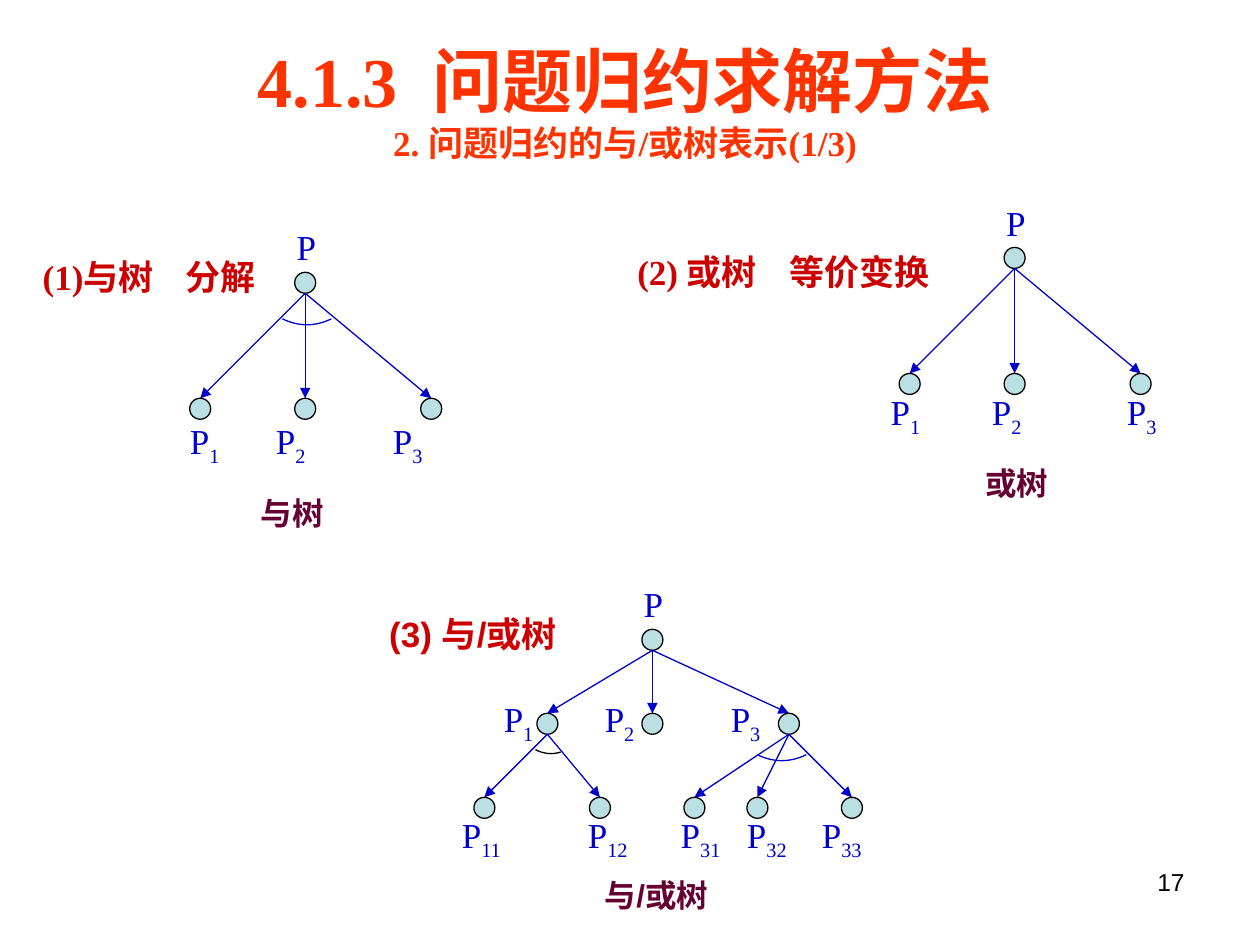
from lxml.etree import SubElement
from pptx import Presentation
from pptx.dml.color import RGBColor
from pptx.enum.shapes import MSO_CONNECTOR, MSO_SHAPE
from pptx.enum.text import PP_ALIGN
from pptx.oxml.ns import qn
from pptx.util import Pt

BLUE = RGBColor(0x00, 0x00, 0xCC)
BLACK = RGBColor(0x00, 0x00, 0x00)
NODE_FILL = RGBColor(0xBB, 0xE0, 0xE3)
RED = RGBColor(0xCC, 0x00, 0x00)
ORANGE = RGBColor(0xFF, 0x33, 0x00)
PLUM = RGBColor(0x66, 0x00, 0x33)
SERIF = "Times New Roman"
SANS = "Arial"
RADIUS = 6
INSET = 7.2
LINE_WIDTH = 0.75


def add_box(shapes, left, top, width, height):
    box = shapes.add_textbox(Pt(left), Pt(top), Pt(width), Pt(height))
    box.text_frame.word_wrap = True
    return box


def add_span(para, text, size, color, font=SERIF, bold=False):
    span = para.add_run()
    span.text = text
    span.font.size = Pt(size)
    span.font.name = font
    span.font.bold = bold
    span.font.color.rgb = color
    return span


def add_tabs(para, positions):
    tab_list = SubElement(para._p.get_or_add_pPr(), qn("a:tabLst"))
    for position in positions:
        SubElement(tab_list, qn("a:tab"), pos=str(Pt(position)), algn="l")


def add_text(shapes, place, text, size, color, font=SERIF, bold=False,
             align=PP_ALIGN.LEFT, tabs=()):
    para = add_box(shapes, *place).text_frame.paragraphs[0]
    if tabs:
        add_tabs(para, tabs)
    para.alignment = align
    add_span(para, text, size, color, font, bold)


def add_label_row(shapes, top, width, labels, spacing=None):
    """Write P with a subscript at each x; labels are (x, subscript) pairs."""
    start = labels[0][0]
    box = add_box(shapes, start - INSET, top, width, 34.5)
    para = box.text_frame.paragraphs[0]
    add_tabs(para, [x - start for x, _ in labels[1:]])
    if spacing:
        para.line_spacing = spacing
    for index, (_, subscript) in enumerate(labels):
        add_span(para, "\tP" if index else "P", 20, BLUE)
        low = add_span(para, subscript, 20, BLUE)
        low.font._element.set("baseline", "-25000")


def add_node(shapes, x, y):
    node = shapes.add_shape(MSO_SHAPE.OVAL, Pt(x - RADIUS), Pt(y - RADIUS),
                            Pt(2 * RADIUS), Pt(2 * RADIUS))
    node.shadow.inherit = False
    node.fill.solid()
    node.fill.fore_color.rgb = NODE_FILL
    node.line.color.rgb = BLACK
    node.line.width = Pt(LINE_WIDTH)


def add_arrow(shapes, x1, y1, x2, y2):
    arrow = shapes.add_connector(MSO_CONNECTOR.STRAIGHT,
                                 Pt(x1), Pt(y1), Pt(x2), Pt(y2))
    arrow.line.color.rgb = BLUE
    arrow.line.width = Pt(LINE_WIDTH)
    SubElement(arrow.line._get_or_add_ln(), qn("a:tailEnd"), type="triangle")
    SubElement(arrow._element.spPr, qn("a:effectLst"))


def add_branches(shapes, x, y, offsets, drop):
    """Draw the children of the node at x, y with an arrow to each."""
    for offset in offsets:
        add_arrow(shapes, x, y + RADIUS, x + offset, y + drop - RADIUS)
        add_node(shapes, x + offset, y + drop)


def add_root(shapes, x, y):
    add_text(shapes, (x - 12, y - 36, 30, 31.7), "P", 20, BLUE)
    add_node(shapes, x, y)


def add_arc(shapes, x, y, width, depth, color=BLUE, fall=0):
    """Draw a shallow parabola that marks an AND branch."""
    steps = 16
    points = []
    for step in range(steps + 1):
        t = step / steps
        points.append((Pt(x + width * t),
                       Pt(y + fall * t + 4 * depth * t * (1 - t))))
    builder = shapes.build_freeform(*points[0], scale=1.0)
    builder.add_line_segments(points[1:], close=False)
    arc = builder.convert_to_shape()
    arc.shadow.inherit = False
    arc.fill.background()
    arc.line.color.rgb = color
    arc.line.width = Pt(LINE_WIDTH)


def add_title(page):
    frame = add_box(page.shapes, 31, 18, 652.3, 79.2).text_frame
    para = frame.paragraphs[0]
    para.alignment = PP_ALIGN.CENTER
    add_span(para, "4.1.3", 40, ORANGE, bold=True)
    gap = add_span(para, " ", 40, ORANGE, bold=True)
    gap.font._element.set("spc", "1000")
    add_span(para, "问题归约求解方法", 40, ORANGE, bold=True)
    para = frame.add_paragraph()
    para.alignment = PP_ALIGN.CENTER
    add_span(para, "2. 问题归约的与/或树表示(1/3)", 20, ORANGE, bold=True)


def add_and_tree(page):
    shapes = page.shapes.add_group_shape().shapes
    x, y = 174.4, 161.6
    add_root(shapes, x, y)
    add_branches(shapes, x, y, (-60, 0, 72), 72)
    add_arc(shapes, x - 13, y + 20.6, 28, 3.4)
    add_label_row(shapes, 233.3, 198,
                  [(108.6, "1"), (157.7, "2"), (224.6, "3")], 1.1)


def add_or_tree(page):
    shapes = page.shapes.add_group_shape().shapes
    x, y = 579.8, 147.4
    add_root(shapes, x, y)
    add_branches(shapes, x, y, (-60, 0, 72), 72)
    add_label_row(shapes, 219.6, 198,
                  [(509.1, "1"), (566.9, "2"), (644, "3")])


def add_and_or_tree(page):
    shapes = page.shapes.add_group_shape().shapes
    x, y, drop = 372.8, 365.6, 48
    left, right, middle = x - 60, x + 78, y + drop
    add_root(shapes, x, y)
    add_branches(shapes, x, y, (-60, 0, 78), drop)
    add_branches(shapes, left, middle, (-36, 30), drop)
    add_branches(shapes, right, middle, (-54, -18, 36), drop)
    add_arc(shapes, right - 18, middle + 17.7, 28, 3.4)
    add_arc(shapes, left - 6.8, middle + 14.8, 14.4, 1.5, BLACK, 1.4)
    add_label_row(shapes, 395.3, 230,
                  [(288, "1"), (345.7, "2"), (417.7, "3")])
    add_label_row(shapes, 461.5, 270,
                  [(264, "11"), (336, "12"), (389.1, "31"),
                   (426.9, "32"), (469.7, "33")])


def main():
    deck = Presentation()
    deck.slide_width, deck.slide_height = Pt(720), Pt(540)
    page = deck.slides.add_slide(deck.slide_layouts[6])
    shapes = page.shapes

    # Slide number
    add_text(shapes, (516.2, 491.8, 167.8, 37.4), "17", 14, BLACK, SANS,
             align=PP_ALIGN.RIGHT)

    # Trees
    add_and_tree(page)
    add_or_tree(page)
    add_and_or_tree(page)

    # Section headings
    add_text(shapes, (17.3, 142.6, 153.4, 31.7), "(1)与树\t分解", 20, RED,
             bold=True, tabs=[81.8])
    add_text(shapes, (357.1, 139.7, 198.7, 31.7), "(2) 或树\t等价变换", 20, RED,
             bold=True, tabs=[87.1])
    add_text(shapes, (215.3, 346.3, 118.8, 55.4), "(3) 与/或树", 20, RED,
             SANS, bold=True)
    add_title(page)

    # Captions below the trees
    add_text(shapes, (141.8, 278.6, 65.5, 28.8), "与树", 18, PLUM, SANS, True)
    add_text(shapes, (555.8, 261.4, 65.5, 28.8), "或树", 18, PLUM, SANS, True)
    add_text(shapes, (297.4, 496.8, 155.5, 28.8), "与/或树", 18, PLUM, SANS,
             True, PP_ALIGN.CENTER)

    deck.save("out.pptx")


if __name__ == "__main__":
    main()
